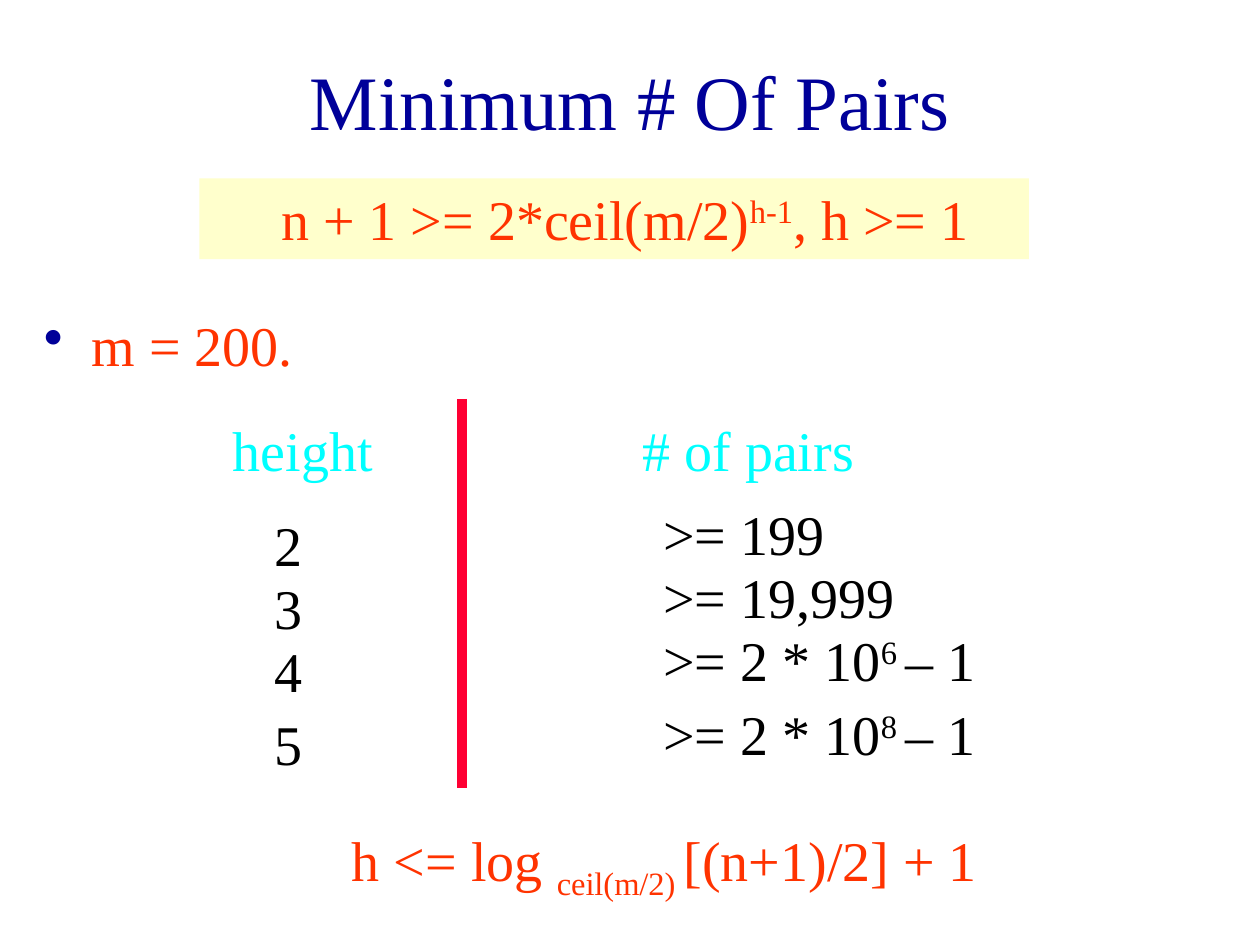
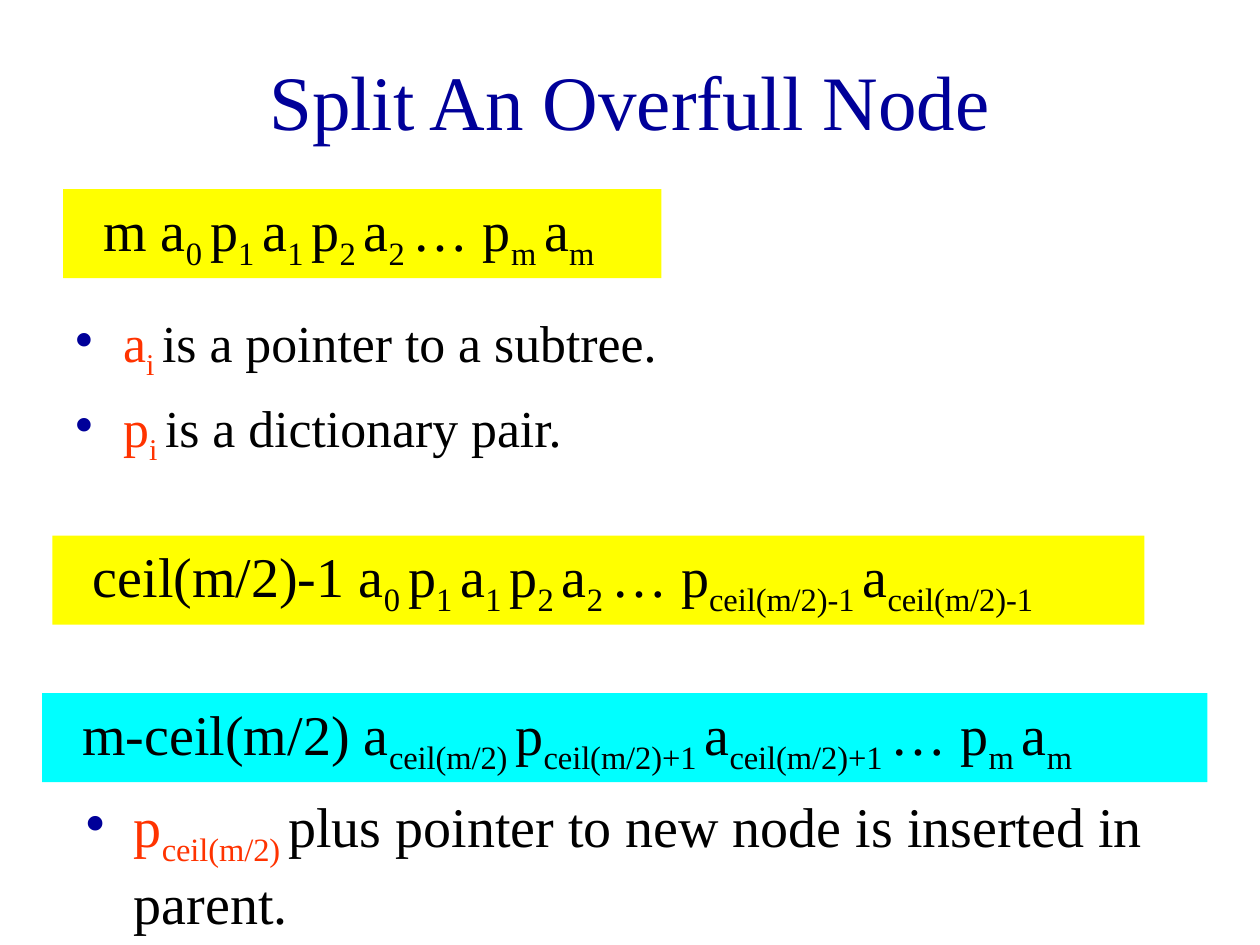
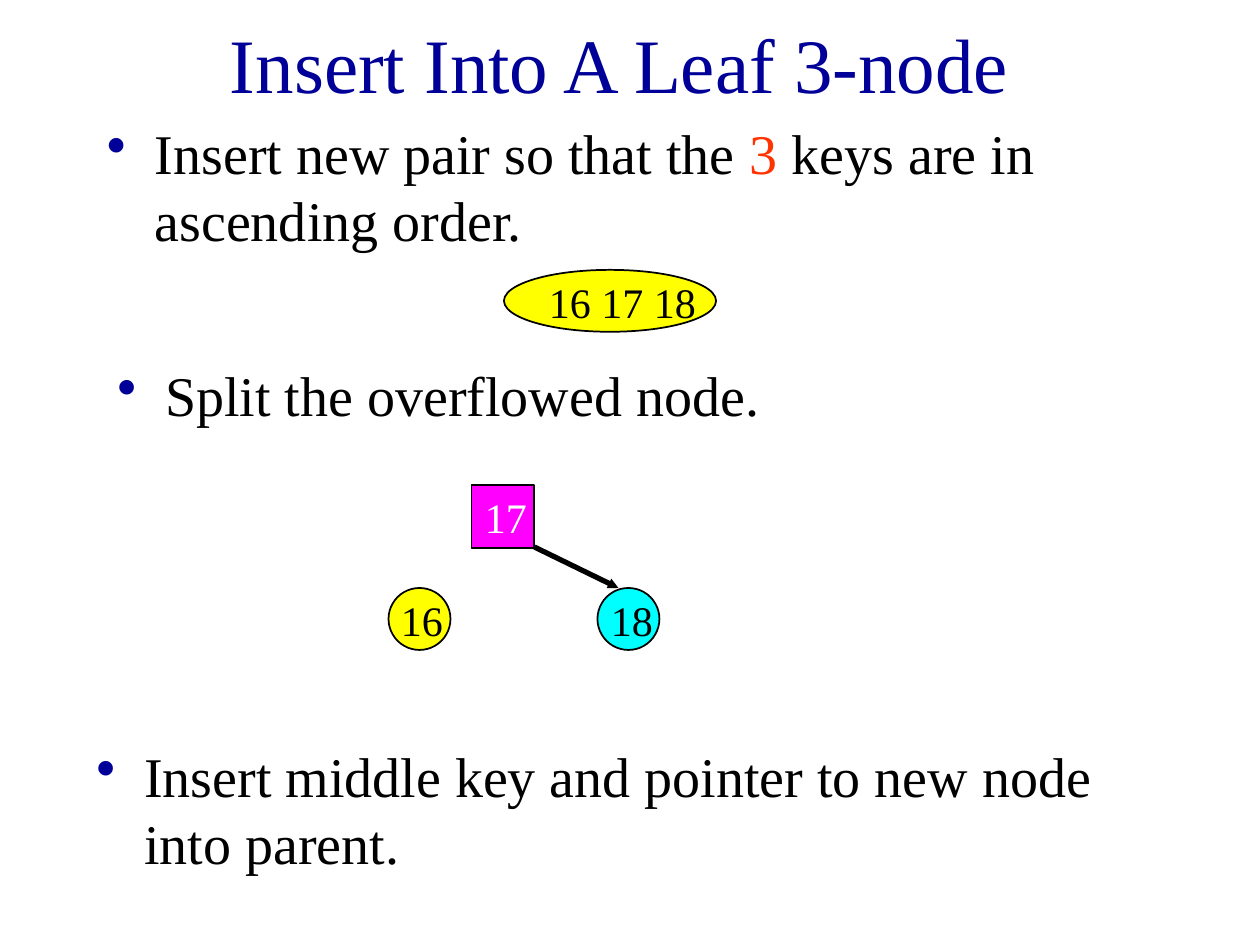
"""Build three slides on B-tree heights, node splitting and leaf insertion."""
import pptx
import pptx.dml.color
import pptx.enum.shapes
import pptx.enum.text
import pptx.oxml.ns
import pptx.util
import lxml.etree

COLOURS = {
    "navy": "000099", "orange": "FF3300", "cream": "FFFFCC", "cyan": "00FFFF",
    "red": "FF0033", "black": "000000", "yellow": "FFFF00", "magenta": "FF00FF",
    "white": "FFFFFF",
}
FONT = "Times New Roman"
COLUMNS, ROWS = 120, 90
BODY, KEY = 32, 24
BULLET_INDENT = pptx.util.Inches(0.38)
BASELINES = {"^": "30000", "_": "-25000"}
SHAPES = pptx.enum.shapes.MSO_SHAPE
qualified = pptx.oxml.ns.qn

deck = pptx.Presentation()
deck.slide_width = pptx.util.Inches(10)
deck.slide_height = pptx.util.Inches(7.5)
cell_width = deck.slide_width / COLUMNS
cell_height = deck.slide_height / ROWS
palette = {name: pptx.dml.color.RGBColor.from_string(value) for name, value in COLOURS.items()}


def add_box(page, area, lines=(), colour="black", size=BODY, fill=None, outline=False,
            shape=SHAPES.RECTANGLE, bullet=False, indent=0):
    """Place a shape or text box; in a line, | parts spans, ! accents, ^ raises and _ lowers."""
    left, top, width, height = area
    place = [int(left * cell_width), int(top * cell_height),
             int(width * cell_width), int(height * cell_height)]
    if fill:
        box = page.shapes.add_shape(shape, *place)
        box.shadow.inherit = False
        box.fill.solid()
        box.fill.fore_color.rgb = palette[fill]
        if outline:
            box.line.color.rgb = palette["black"]
            box.line.width = pptx.util.Pt(1)
        else:
            box.line.fill.background()
    else:
        box = page.shapes.add_textbox(*place)
    frame = box.text_frame
    frame.word_wrap = True
    frame.vertical_anchor = pptx.enum.text.MSO_ANCHOR.TOP
    frame.margin_left = pptx.util.Inches(0.1 + indent)
    for number, line in enumerate(lines):
        para = frame.paragraphs[0] if number == 0 else frame.add_paragraph()
        para.alignment = pptx.enum.text.PP_ALIGN.LEFT
        para.font.name = FONT
        para.font.size = pptx.util.Pt(size)
        if bullet:
            para.space_before = pptx.util.Pt(8)
            properties = para._p.get_or_add_pPr()
            properties.set("marL", str(BULLET_INDENT))
            properties.set("indent", str(-BULLET_INDENT))
            mark = lxml.etree.Element(qualified("a:buChar"), char="•")
            tint = lxml.etree.Element(qualified("a:buClr"))
            lxml.etree.SubElement(tint, qualified("a:srgbClr"), val=COLOURS["navy"])
            defaults = properties.find(qualified("a:defRPr"))
            defaults.addprevious(tint)
            defaults.addprevious(mark)
        for piece in line.split("|"):
            accent = piece.startswith("!")
            piece = piece.removeprefix("!")
            baseline = BASELINES.get(piece[0])
            span = para.add_run()
            span.text = piece[1:] if baseline else piece
            span.font.name = FONT
            span.font.size = pptx.util.Pt(size)
            span.font.color.rgb = palette["orange" if accent else colour]
            if baseline:
                span._r.get_or_add_rPr().set("baseline", baseline)


def add_line(page, start, end, colour, width, arrow=False):
    """Draw a straight line between two grid points."""
    line = page.shapes.add_connector(
        pptx.enum.shapes.MSO_CONNECTOR.STRAIGHT,
        int(start[0] * cell_width), int(start[1] * cell_height),
        int(end[0] * cell_width), int(end[1] * cell_height))
    line.line.color.rgb = palette[colour]
    line.line.width = pptx.util.Pt(width)
    properties = line._element.spPr
    if arrow:
        lxml.etree.SubElement(properties.find(qualified("a:ln")), qualified("a:tailEnd"),
                              type="triangle", w="sm", len="sm")
    lxml.etree.SubElement(properties, qualified("a:effectLst"))


pages = []
for heading, area in [
    ("Minimum # Of Pairs", (9, 2, 102, 15)),
    ("Split An Overfull Node", (9, 2, 102, 15)),
    ("Insert Into A Leaf 3-node", (8, 0, 102, 12)),
]:
    page = deck.slides.add_slide(deck.slide_layouts[5])
    title = page.shapes.title
    title.left, title.width = int(area[0] * cell_width), int(area[2] * cell_width)
    title.top, title.height = int(area[1] * cell_height), int(area[3] * cell_height)
    title.text_frame.text = heading
    title.text_frame.vertical_anchor = pptx.enum.text.MSO_ANCHOR.MIDDLE
    para = title.text_frame.paragraphs[0]
    para.alignment = pptx.enum.text.PP_ALIGN.CENTER
    para.font.name = FONT
    para.font.size = pptx.util.Pt(44)
    para.font.color.rgb = palette["navy"]
    pages.append(page)
pairs_page, split_page, insert_page = pages

add_box(pairs_page, (3, 29, 102, 12), ["m = 200."], "orange", bullet=True)
add_box(pairs_page, (19, 17, 79, 7.7), ["n + 1 >= 2*ceil(m/2)|^h-1|, h >= 1"],
        "orange", fill="cream", indent=0.55)
add_box(pairs_page, (21, 39, 18, 7.7), ["height"], "cyan")
add_box(pairs_page, (60, 39, 27, 7.7), ["# of pairs"], "cyan")
add_line(pairs_page, (44, 38), (44, 75), "red", 6)
for row, height, count in [
    (48, "2", ">= 199"),
    (54, "3", ">= 19,999"),
    (60, "4", ">= 2 * 10|^6 |– 1"),
    (67, "5", ">= 2 * 10|^8 |– 1"),
]:
    add_box(pairs_page, (25, row, 18, 7.7), [height])
    add_box(pairs_page, (62, row - 1, 45, 7.7), [count])
add_box(pairs_page, (19, 78, 79, 8.5), ["h <= log |_ceil(m/2) |[(n+1)/2] + 1"],
        "orange", fill="white", indent=1.11)

add_box(split_page, (6, 29, 102, 16),
        ["!a|!_i |is a pointer to a subtree.", "!p|!_i |is a dictionary pair."],
        size=29.6, bullet=True)
first_pairs = "a|_0 |p|_1 |a|_1 |p|_2 |a|_2 |… p"
for area, node, fill in [
    ((6, 18, 57, 8.5), f"m {first_pairs}|_m |a|_m", "yellow"),
    ((5, 51, 104, 8.5), f"ceil(m/2)-1 {first_pairs}|_ceil(m/2)-1 |a|_ceil(m/2)-1", "yellow"),
    ((4, 66, 111, 8.5),
     "m-ceil(m/2) a|_ceil(m/2) |p|_ceil(m/2)+1 |a|_ceil(m/2)+1 |… p|_m |a|_m", "cyan"),
]:
    add_box(split_page, area, [node], fill=fill, indent=0.22)
add_box(split_page, (7, 74.8, 109, 15),
        ["!p|!_ceil(m/2) |plus pointer to new node is inserted in parent."], bullet=True)

for area, step in [
    ((9, 10.7, 102, 15), "Insert new pair so that the |!3 |keys are in ascending order."),
    ((10, 33.7, 102, 9), "Split the overflowed node."),
    ((8, 70, 102, 15), "Insert middle key and pointer to new node into parent."),
]:
    add_box(insert_page, area, [step], bullet=True)
for area, shape, fill, keys, key_left, colour in [
    ((48, 25.7, 20.2, 5.9), SHAPES.OVAL, "yellow", "16 17 18", 51.1, "black"),
    ((56.9, 56, 5.9, 5.9), SHAPES.OVAL, "cyan", "18", 57, "black"),
    ((37, 56, 5.9, 5.9), SHAPES.OVAL, "yellow", "16", 37, "black"),
    ((44.9, 46.2, 6, 6), SHAPES.RECTANGLE, "magenta", "17", 45, "white"),
]:
    add_box(insert_page, area, fill=fill, outline=True, shape=shape)
    add_box(insert_page, (key_left, area[1], area[2] + 4, 6), [keys], colour, KEY)
add_line(insert_page, (50.9, 52.1), (58.9, 56), "black", 3, arrow=True)

deck.save("out.pptx")
